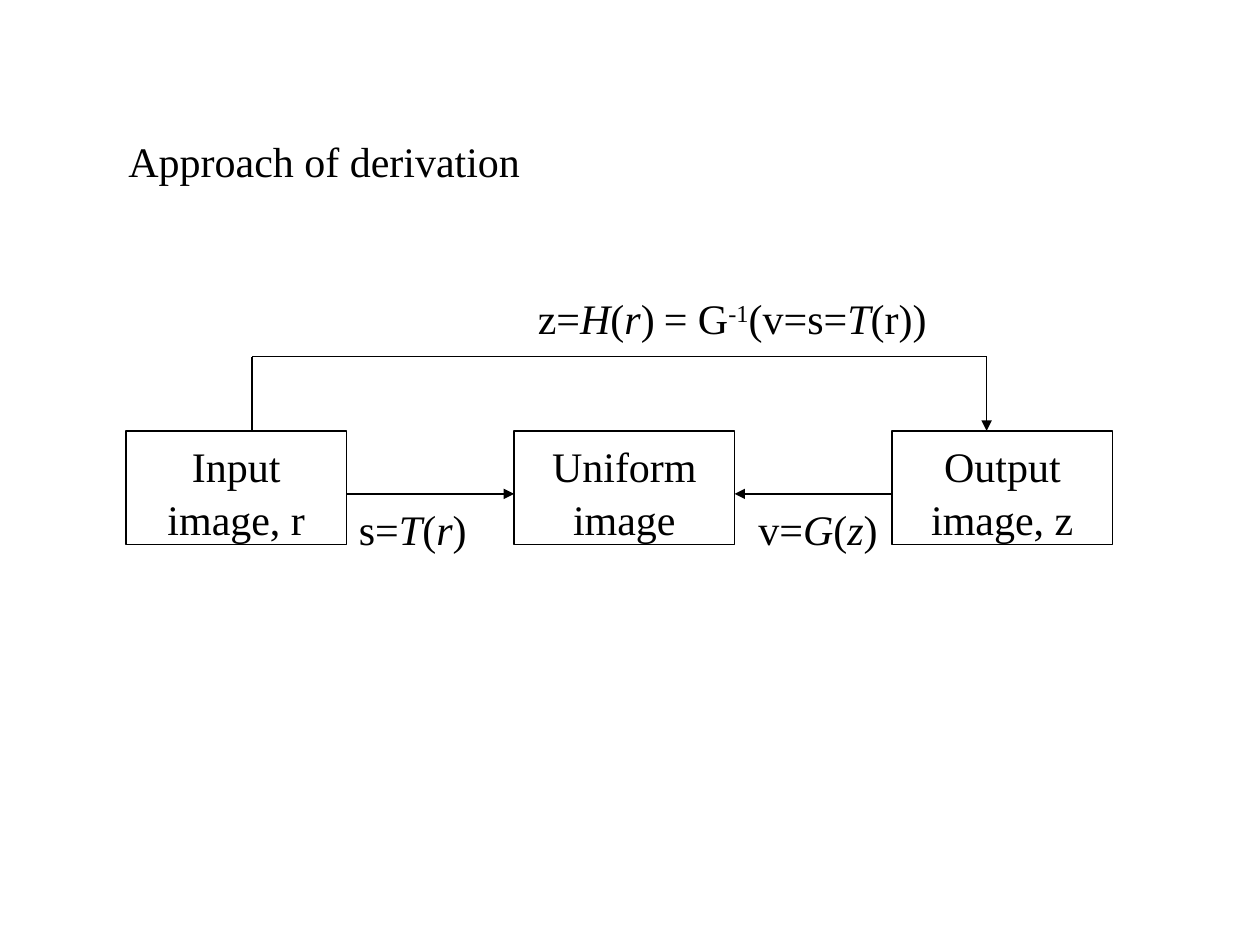
"""Build the slide on deriving an image mapping through a uniform image."""
from lxml.etree import SubElement
from pptx import Presentation
from pptx.dml.color import RGBColor
from pptx.enum.shapes import MSO_CONNECTOR as Connector, MSO_SHAPE as Shape
from pptx.enum.text import MSO_ANCHOR as Anchor, PP_ALIGN as Align
from pptx.oxml.ns import qn
from pptx.util import Inches, Pt

COLORS = {"ink": "000000"}
INK = RGBColor.from_string(COLORS["ink"])
FONT, FONT_SIZE, LINE_WIDTH = "Times New Roman", 24, 0.74
BOX_TOP, BOX_WIDTH, BOX_HEIGHT = 3.42, 1.75, 0.9
ARROW_Y, LOOP_Y, LOOP_LEFT, LOOP_RIGHT = 3.92, 2.83, 2, 7.83

BOXES = [("Input image, r", 1), ("Uniform image", 4.08), ("Output image, z", 7.08)]
INPUT, UNIFORM, OUTPUT = [left for _, left in BOXES]
LINES = [
    ((INPUT + BOX_WIDTH, ARROW_Y), (UNIFORM, ARROW_Y), True),
    ((OUTPUT, ARROW_Y), (UNIFORM + BOX_WIDTH, ARROW_Y), True),
    ((LOOP_LEFT, BOX_TOP), (LOOP_LEFT, LOOP_Y), False),
    ((LOOP_RIGHT, LOOP_Y), (LOOP_RIGHT, BOX_TOP), True),
    ((LOOP_LEFT, LOOP_Y), (LOOP_RIGHT, LOOP_Y), False),
]
LABELS = [
    ([("s=", ""), ("T", "italic"), ("(", ""), ("r", "italic"), (")", "")], 2.75, ARROW_Y, 1.25),
    ([("v=", ""), ("G", "italic"), ("(", ""), ("z", "italic"), (")", "")], 5.92, ARROW_Y, 1.25),
    ([("z=", ""), ("H", "italic"), ("(", ""), ("r", "italic"), (")", "")], 4.17, 2.25, 1.25),
    ([("Approach of derivation", "")], 0.92, 1, 6.25),
    ([("= G", ""), ("-1", "super"), ("(v=s=", ""), ("T", "italic"), ("(r))", "")], 5.17, 2.25, 2.42),
]


def write(shape, runs, align):
    frame = shape.text_frame
    frame.word_wrap = True
    frame.vertical_anchor = Anchor.TOP
    paragraph = frame.paragraphs[0]
    paragraph.alignment = align
    paragraph.space_before = Pt(15)
    paragraph.line_spacing = 1.06
    font = paragraph.font
    font.name, font.size, font.color.rgb = FONT, Pt(FONT_SIZE), INK
    for text, style in runs:
        run = paragraph.add_run()
        run.text = text
        if style == "italic":
            run.font.italic = True
        elif style == "super":
            run.font._element.set("baseline", "30000")


def add_box(slide, text, left):
    box = slide.shapes.add_shape(
        Shape.RECTANGLE, Inches(left), Inches(BOX_TOP), Inches(BOX_WIDTH), Inches(BOX_HEIGHT))
    box.shadow.inherit = False
    box.fill.background()
    box.line.color.rgb, box.line.width = INK, Pt(LINE_WIDTH)
    write(box, [(text, "")], Align.CENTER)


def add_line(slide, start, end, has_arrow):
    points = [Inches(value) for value in (*start, *end)]
    connector = slide.shapes.add_connector(Connector.STRAIGHT, *points)
    connector.line.color.rgb, connector.line.width = INK, Pt(LINE_WIDTH)
    properties = connector._element.spPr
    if has_arrow:
        SubElement(properties.find(qn("a:ln")), qn("a:tailEnd"), type="triangle")
    SubElement(properties, qn("a:effectLst"))


presentation = Presentation()
presentation.slide_width, presentation.slide_height = Inches(10), Inches(7.5)
slide = presentation.slides.add_slide(presentation.slide_layouts[6])
for text, left in BOXES:
    add_box(slide, text, left)
for line in LINES:
    add_line(slide, *line)
for runs, left, top, width in LABELS:
    label = slide.shapes.add_textbox(Inches(left), Inches(top), Inches(width), Inches(0.5))
    write(label, runs, Align.LEFT)
presentation.save("out.pptx")
